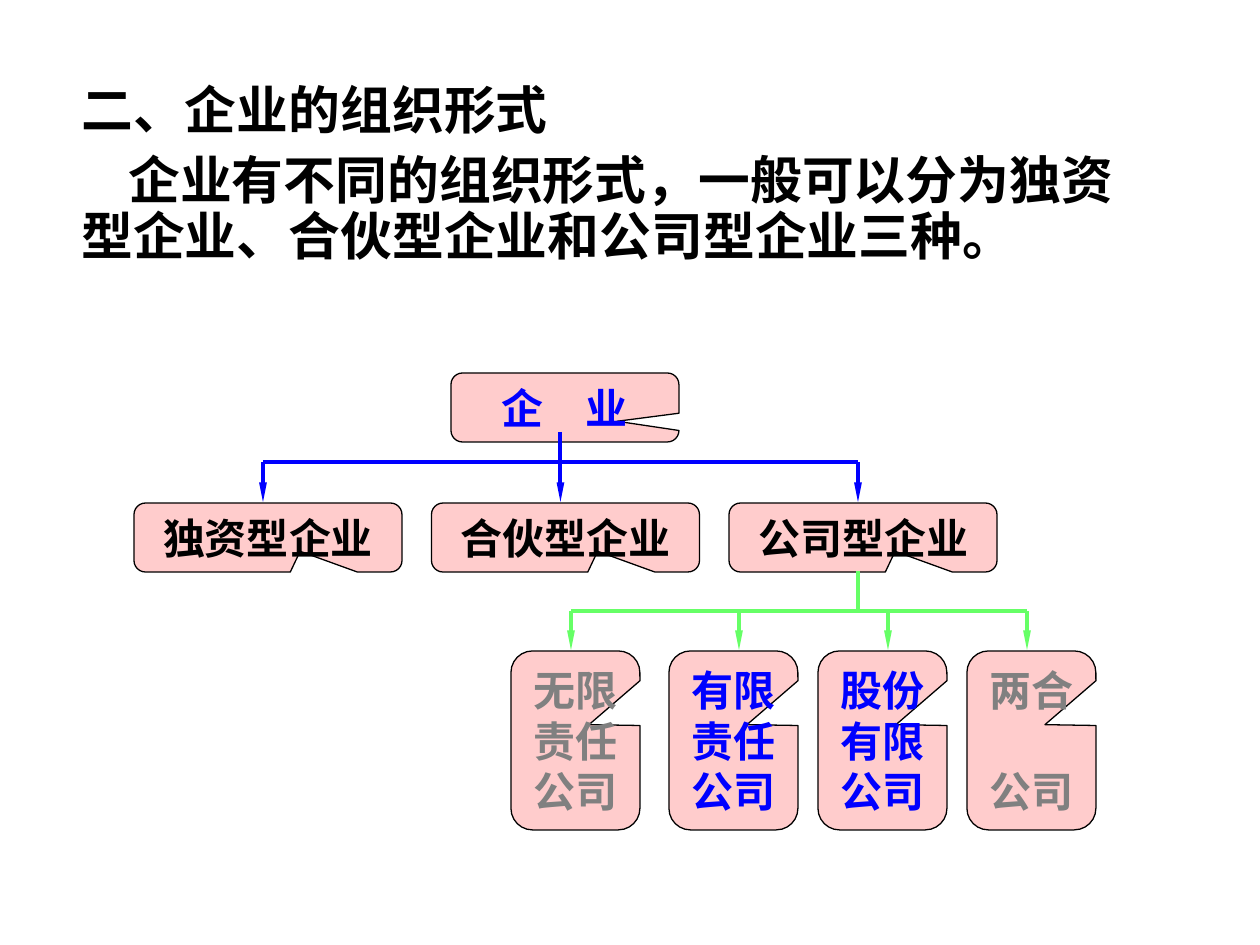
from lxml.etree import SubElement
from pptx import Presentation
from pptx.dml.color import RGBColor as RGB
from pptx.enum.shapes import MSO_CONNECTOR as CONN, MSO_SHAPE as SHAPE
from pptx.enum.text import MSO_ANCHOR as ANCHOR, PP_ALIGN as ALIGN
from pptx.oxml.ns import qn
from pptx.util import Pt

BLACK = RGB(0x00, 0x00, 0x00)
BLUE = RGB(0x00, 0x00, 0xFF)
GRAY = RGB(0x80, 0x80, 0x80)
GREEN = RGB(0x66, 0xFF, 0x66)
PINK = RGB(0xFF, 0xCC, 0xCC)
SANS = "Noto Sans CJK SC"
SERIF = "Times New Roman"

INTRO = [
    ("二、企业的组织形式", 0, 0),
    ("企业有不同的组织形式，一般可以分为独资型企业、合伙型企业和公司型企业三种。", 8, 47),
]
ROOT = "企　业"
KINDS = ["独资型企业", "合伙型企业", "公司型企业"]
FIRMS = [
    (511, 571, ["无限责任公司"], GRAY),
    (669, 739, ["有限责任公司"], BLUE),
    (818, 888, ["股份有限公司"], BLUE),
    (967, 1027, ["两合", "公司"], GRAY),
]
KIND_X, KIND_STEP, KIND_STEM = 134, 297.5, 263


def px(n):
    return round(n * 914400 / 126)


def write(par, text, size, color, face):
    run = par.add_run()
    run.text = text
    font = run.font
    font.size, font.bold, font.name = Pt(size), True, face
    font.color.rgb = color
    SubElement(font._element, qn("a:ea")).set("typeface", SANS)


def add_intro():
    frame = slide.shapes.add_textbox(px(69), px(79), px(1071), px(277)).text_frame
    frame.word_wrap = True
    for i, (text, gap, dent) in enumerate(INTRO):
        par = frame.add_paragraph() if i else frame.paragraphs[0]
        par.line_spacing = 0.9
        par.space_before = Pt(gap)
        par._p.get_or_add_pPr().set("indent", str(px(dent)))
        write(par, text, 29.6, BLACK, SANS)


def add_box(x, y, w, h, lines, color, adj):
    box = slide.shapes.add_shape(SHAPE.ROUNDED_RECTANGULAR_CALLOUT, px(x), px(y), px(w), px(h))
    for i, val in enumerate(adj):
        box.adjustments[i] = val
    box.shadow.inherit = False
    box.fill.solid()
    box.fill.fore_color.rgb = PINK
    box.line.color.rgb = BLACK
    box.line.width = Pt(0.75)
    frame = box.text_frame
    frame.word_wrap = True
    frame.vertical_anchor = ANCHOR.MIDDLE
    for i, text in enumerate(lines):
        par = frame.add_paragraph() if i else frame.paragraphs[0]
        par.alignment = ALIGN.CENTER
        par.space_before = Pt(29 if i else 0)
        write(par, text, 24, color, SERIF)


def add_line(x1, y1, x2, y2, color, arrow=False):
    line = slide.shapes.add_connector(CONN.STRAIGHT, px(x1), px(y1), px(x2), px(y2))
    line.line.color.rgb = color
    line.line.width = Pt(2.25)
    if arrow:
        tail = SubElement(line.line._get_or_add_ln(), qn("a:tailEnd"))
        for key, val in (("type", "triangle"), ("w", "sm"), ("len", "lg")):
            tail.set(key, val)
    SubElement(line._element.spPr, qn("a:effectLst"))


def add_fan(stems, bar, end, color):
    add_line(stems[0], bar, stems[-1], bar, color)
    for x in stems:
        add_line(x, bar, x, end, color, True)


deck = Presentation()
deck.slide_width, deck.slide_height = px(1260), px(945)
slide = deck.slides.add_slide(deck.slide_layouts[6])

add_intro()
add_box(451, 373, 228, 69, [ROOT], BLUE, (0.229, 0.2, 0.167))
for i, kind in enumerate(KINDS):
    add_box(KIND_X + i * KIND_STEP, 503, 268, 69, [kind], BLACK, (0.12, 0.2, 0.167))
for x, stem, lines, color in FIRMS:
    add_box(x, 651, 129, 179, lines, color, (0.105, -0.088, 0.167))

stems = [KIND_STEM + i * KIND_STEP for i in range(len(KINDS))]
add_fan(stems, 462, 502, BLUE)
add_line(stems[1], 432, stems[1], 462, BLUE)
add_fan([firm[1] for firm in FIRMS], 611, 650, GREEN)
add_line(stems[2], 611, stems[2], 571, GREEN)

deck.save("out.pptx")
